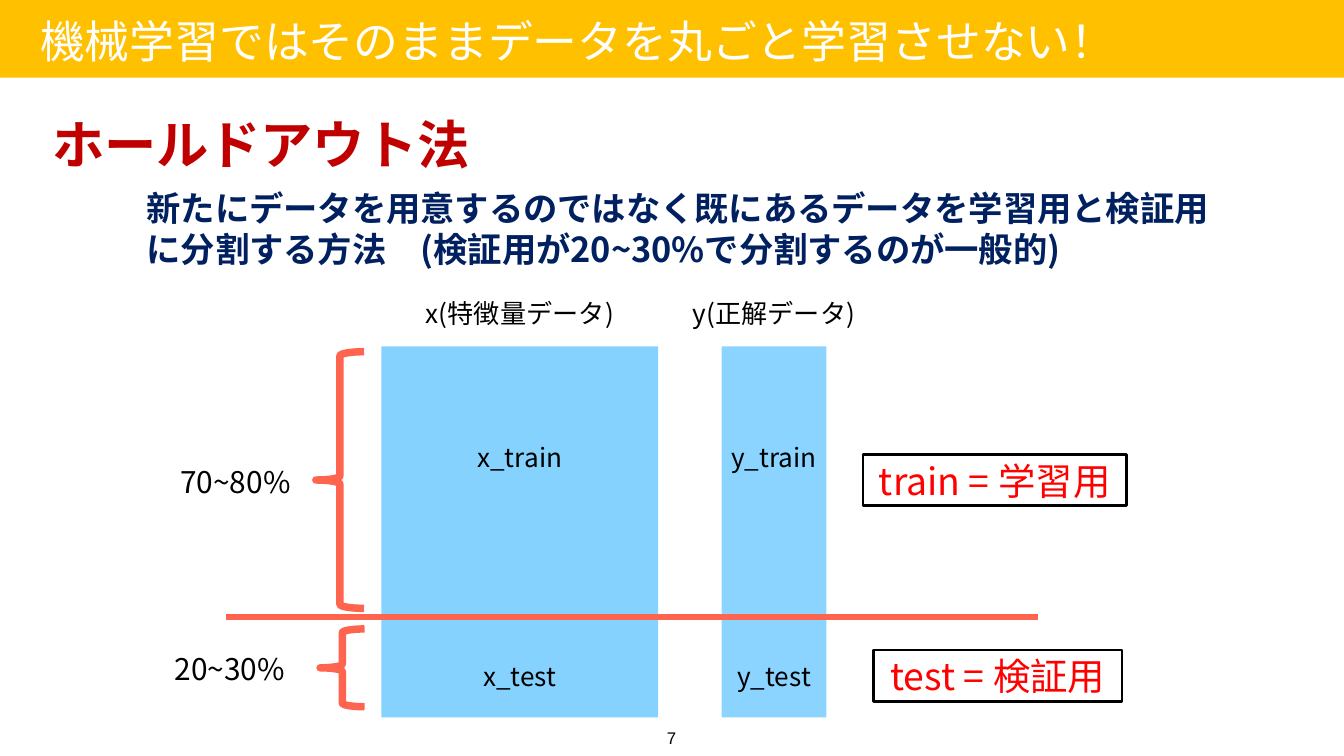
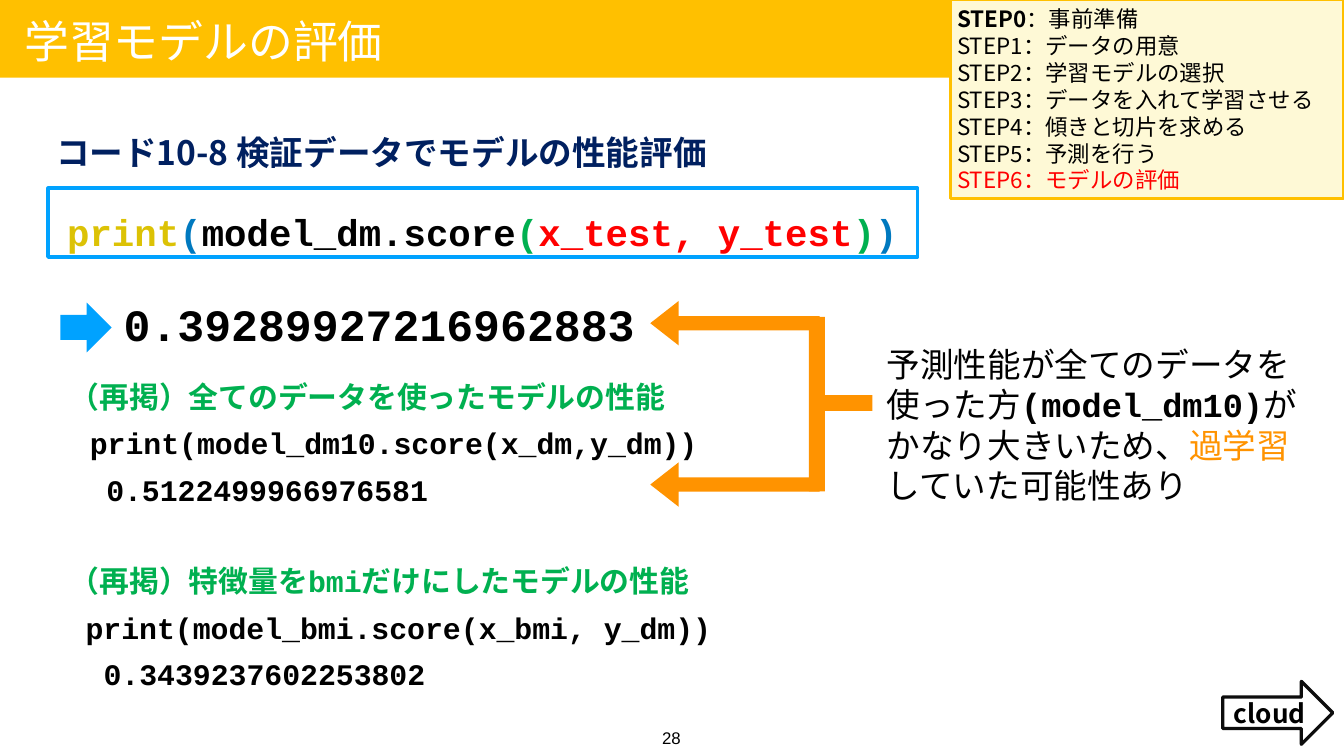
from dataclasses import dataclass

from lxml import etree
from pptx import Presentation
from pptx.dml.color import RGBColor
from pptx.enum.shapes import MSO_CONNECTOR, MSO_SHAPE
from pptx.enum.text import MSO_ANCHOR, PP_ALIGN
from pptx.oxml.ns import qn
from pptx.util import Cm, Pt

RECT = MSO_SHAPE.RECTANGLE
BRACE = MSO_SHAPE.LEFT_BRACE
RIGHT = MSO_SHAPE.RIGHT_ARROW
BACK = MSO_SHAPE.LEFT_ARROW
STRAIGHT = MSO_CONNECTOR.STRAIGHT
LEFT, CENTER = PP_ALIGN.LEFT, PP_ALIGN.CENTER
TOP, MIDDLE = MSO_ANCHOR.TOP, MSO_ANCHOR.MIDDLE


@dataclass(frozen=True)
class Theme:
    sans: str = "Noto Sans CJK JP"
    mono: str = "Courier New"
    plain: str = "Arial"
    black: str = "000000"
    white: str = "FFFFFF"
    gold: str = "FFC000"
    cream: str = "FEF9D6"
    blue: str = "00A2FF"
    coral: str = "FF644E"
    red: str = "FF0000"
    wine: str = "C00000"
    navy: str = "002060"
    green: str = "00B050"
    orange: str = "FF9300"
    olive: str = "DCC205"
    steel: str = "0079BF"
    ink: str = "0D0D0D"
    title: float = 24
    head: float = 28
    lead: float = 18.4
    key: float = 20
    note: float = 18
    body: float = 16
    label: float = 14
    step: float = 12
    foot: float = 9


T = Theme()


@dataclass(frozen=True)
class Box:
    x: float
    y: float
    w: float
    h: float

    def inner(self, x, y, w, h):
        return Box(self.x + x, self.y + y, w, h)

    def cm(self):
        return Cm(self.x), Cm(self.y), Cm(self.w), Cm(self.h)


PAGE = Box(0, 0, 25.4, 14.29)


def rgb(code):
    return RGBColor.from_string(code)


def draw(slide, kind, box, fill=None, line=None, width=1, alpha=None):
    shape = slide.shapes.add_shape(kind, *box.cm())
    shape.shadow.inherit = False
    if fill:
        shape.fill.solid()
        shape.fill.fore_color.rgb = rgb(fill)
    else:
        shape.fill.background()
    if line:
        shape.line.color.rgb = rgb(line)
        shape.line.width = Pt(width)
    else:
        shape.line.fill.background()
    if alpha:
        color = shape._element.spPr.find(qn("a:solidFill"))[0]
        etree.SubElement(color, qn("a:alpha"), val=str(alpha * 1000))
    return shape


def write(shape, paras, size, color=T.black, font=T.sans, bold=False,
          align=LEFT, anchor=MIDDLE, inset=0.05, space=None):
    frame = shape.text_frame
    frame.word_wrap = True
    frame.vertical_anchor = anchor
    frame.margin_left = frame.margin_right = Cm(inset)
    frame.margin_top = frame.margin_bottom = Cm(inset)
    for i, runs in enumerate(paras):
        para = frame.paragraphs[0] if i == 0 else frame.add_paragraph()
        para.alignment = align
        if space:
            para.line_spacing = space
        style = para.font
        style.name, style.size, style.bold = font, Pt(size), bold
        style.color.rgb = rgb(color)
        etree.SubElement(style._rPr, qn("a:ea"), typeface=T.sans)
        for text, tint, heavy in runs:
            piece = para.add_run()
            piece.text = text
            if tint:
                piece.font.color.rgb = rgb(tint)
            if heavy:
                piece.font.bold = True
    return frame


def run(text, tint=None, heavy=False):
    return text, tint, heavy


def label(slide, box, text, size, **style):
    shape = slide.shapes.add_textbox(*box.cm())
    return write(shape, [[run(text)]], size, **style)


def base(deck, title, left, page):
    slide = deck.slides.add_slide(deck.slide_layouts[6])
    draw(slide, RECT, PAGE.inner(0, 0, PAGE.w, 1.47), T.gold)
    label(slide, PAGE.inner(left, 0.19, 21.34, 1.14), title, T.title, color=T.white)
    label(slide, PAGE.inner(12.19, 13.61, 1, 0.66), page, T.foot,
          font=T.plain, align=CENTER, anchor=TOP, inset=0.15)
    return slide


def column(slide, box, name, head, wide, alpha):
    draw(slide, RECT, box, T.blue, alpha=alpha)
    for text, top, width in ((head, -0.99, wide),
                             (f"{name}_train", 1.73, 1.98),
                             (f"{name}_test", 5.87, 1.98)):
        spot = box.inner((box.w - width) / 2, top, width, 0.71)
        label(slide, spot, text, T.label, align=CENTER)


def share(slide, brace, rate, tag, percent, text):
    draw(slide, BRACE, brace, line=T.coral, width=4)
    label(slide, rate, percent, T.body, align=CENTER)
    frame = draw(slide, RECT, tag, line=T.black, width=1.25)
    write(frame, [[run(text)]], T.key, color=T.red, align=CENTER)


def split(slide, box):
    column(slide, box.inner(4.42, 0, 5.23, box.h), "x", "x(特徴量データ)", 3.81, 48)
    column(slide, box.inner(10.85, 0, 1.98, box.h), "y", "y(正解データ)", 3.3, 46)
    y = Cm(box.y + 5.11)
    cut = slide.shapes.add_connector(STRAIGHT, Cm(box.x + 1.48), y, Cm(box.x + 16.82), y)
    cut.line.color.rgb = rgb(T.coral)
    cut.line.width = Pt(3)
    etree.SubElement(cut._element.spPr, qn("a:effectLst"))
    share(slide, box.inner(3.18, 0.1, 0.91, 4.85), box.inner(0.11, 2.16, 3.1, 0.79),
          box.inner(13.52, 2.04, 4.98, 0.97), "70~80%", "train = 学習用")
    share(slide, box.inner(3.26, 5.34, 0.84, 1.47), box.inner(0, 5.69, 3.1, 0.79),
          box.inner(13.72, 5.74, 4.7, 0.97), "20~30%", "test = 検証用")


def holdout(deck):
    slide = base(deck, "機械学習ではそのままデータを丸ごと学習させない！", 0.71, "7")
    label(slide, PAGE.inner(0.89, 2.06, 8.08, 1.3), "ホールドアウト法", T.head,
          color=T.wine, bold=True, align=CENTER)
    label(slide, PAGE.inner(2.72, 3.48, 20.5, 1.68),
          "新たにデータを用意するのではなく既にあるデータを学習用と検証用に分割する方法"
          "　(検証用が20~30%で分割するのが一般的)",
          T.lead, color=T.navy, bold=True)
    split(slide, PAGE.inner(2.79, 6.55, 18.5, 7.01))


def code(slide, box):
    shape = slide.shapes.add_textbox(*box.inner(0.31, -0.18, 15.9, 1.42).cm())
    tokens = (("print", T.olive), ("(", T.steel), ("model_dm.score", None),
              ("(", T.green), ("x_test, y_test", T.red), (")", T.green), (")", T.steel))
    write(shape, [[run(*token) for token in tokens]], T.key, font=T.mono,
          bold=True, space=1.7)
    draw(slide, RECT, box, line=T.blue, width=2)


def score(slide, box):
    draw(slide, RIGHT, box.inner(0, 0.26, 0.97, 0.94), T.blue)
    label(slide, box.inner(1.02, 0, 10.01, box.h), "0.39289927216962883", T.title,
          font=T.mono, bold=True, align=CENTER, inset=0.15)


def recap(slide, box):
    lines = (("（再掲）全てのデータを使ったモデルの性能", T.green, 0),
             ("print(model_dm10.score(x_dm,y_dm))", None, 0.38),
             ("0.5122499966976581", None, 0.69),
             ("（再掲）特徴量をbmiだけにしたモデルの性能", T.green, 0),
             ("print(model_bmi.score(x_bmi, y_dm))", None, 0.3),
             ("0.3439237602253802", None, 0.64))
    shape = slide.shapes.add_textbox(*box.cm())
    frame = write(shape, [[run(text, tint)] for text, tint, _ in lines], T.body,
                  font=T.mono, bold=True, inset=0.15, space=1.3)
    for para, (_, _, indent) in zip(frame.paragraphs, lines):
        para._p.get_or_add_pPr().set("marL", str(Cm(indent)))
        para._p.pPr.set("indent", "0")
    frame.paragraphs[3].space_before = Pt(24)


def compare(slide, box):
    for top in (0, 3.05):
        arrow = draw(slide, BACK, box.inner(0, top, 3.2, 0.84), T.orange)
        arrow.adjustments[0] = 0.32
        arrow.adjustments[1] = 0.64
    draw(slide, RECT, box.inner(3, 0.3, 0.3, 3.3), T.orange)
    draw(slide, RECT, box.inner(3.13, 1.78, 1.07, 0.3), T.orange)
    shape = slide.shapes.add_textbox(*box.inner(4.32, 0.66, 8.13, 3.35).cm())
    write(shape, [[run("予測性能が全てのデータを使った方"),
                   run("(model_dm10)", heavy=True),
                   run("がかなり大きいため、"), run("過学習", T.orange),
                   run("していた可能性あり")]], T.note, font=T.mono, inset=0.15)


def steps(slide, box):
    names = ("データの用意", "学習モデルの選択", "データを入れて学習させる",
             "傾きと切片を求める", "予測を行う", "モデルの評価")
    paras = [[run("STEP0", heavy=True), run("：事前準備")]]
    for i, name in enumerate(names, 1):
        tint = T.red if i == len(names) else None
        paras.append([run(f"STEP{i}：{name}", tint)])
    shape = draw(slide, RECT, box, T.cream, T.gold, 1.5)
    write(shape, paras, T.step, inset=0.13)


def review(deck):
    slide = base(deck, "学習モデルの評価", 0.41, "28")
    label(slide, PAGE.inner(0.91, 2.31, 15.9, 1.12),
          "コード10-8 検証データでモデルの性能評価", T.note,
          color=T.navy, bold=True, inset=0.15)
    code(slide, PAGE.inner(0.91, 3.56, 16.43, 1.3))
    score(slide, PAGE.inner(1.14, 5.46, 11.03, 1.32))
    recap(slide, PAGE.inner(1.17, 6.76, 12.95, 6.5))
    compare(slide, PAGE.inner(12.29, 5.69, 12.45, 4.01))
    steps(slide, PAGE.inner(17.96, 0, 7.44, 3.76))
    link = draw(slide, RIGHT, PAGE.inner(23.11, 12.88, 2.08, 1.19), line=T.ink, width=1.75)
    write(link, [[run("cloud")]], T.label, bold=True, align=CENTER, inset=0)


def main():
    deck = Presentation()
    deck.slide_width, deck.slide_height = Cm(PAGE.w), Cm(PAGE.h)
    holdout(deck)
    review(deck)
    deck.save("out.pptx")


if __name__ == "__main__":
    main()
